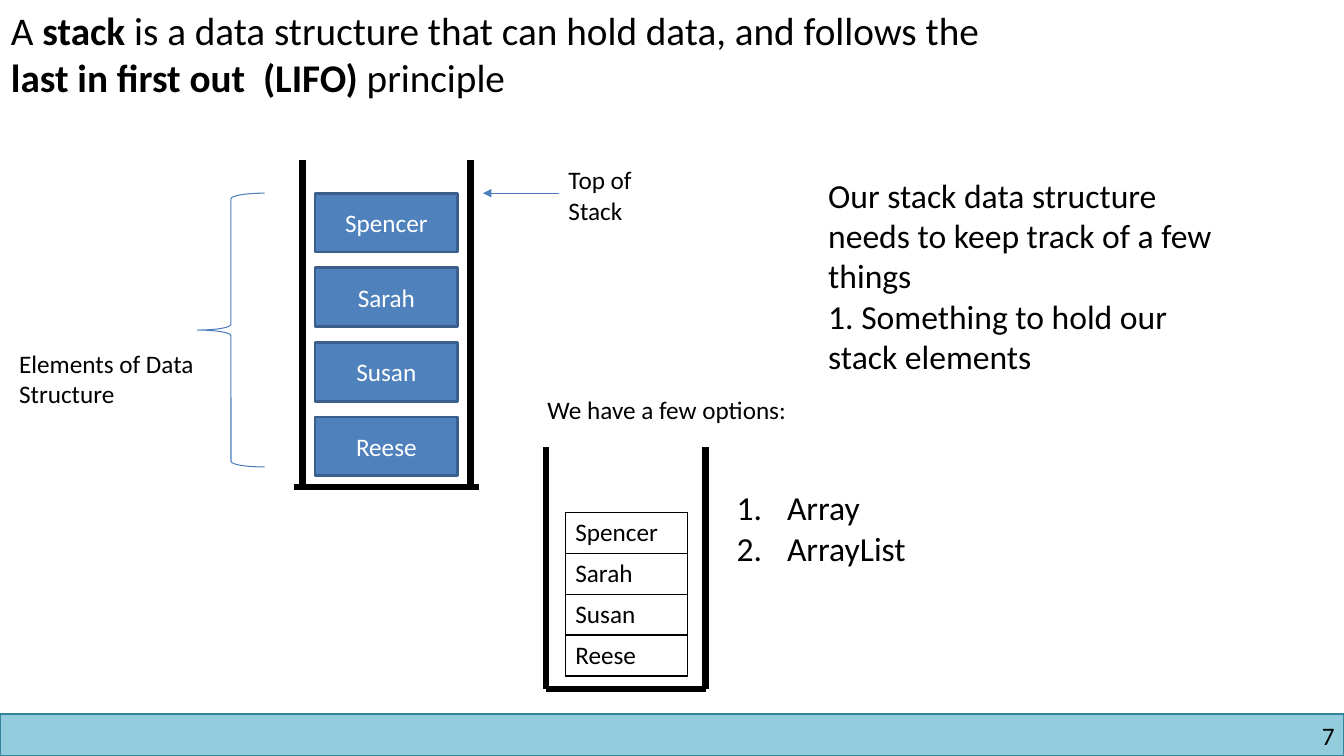
from lxml.etree import SubElement
from pptx import Presentation
from pptx.dml.color import RGBColor
from pptx.enum.shapes import MSO_CONNECTOR as Connector, MSO_SHAPE as Shape
from pptx.enum.text import MSO_ANCHOR as Anchor, MSO_AUTO_SIZE as AutoSize, PP_ALIGN as Align
from pptx.oxml.ns import qn
from pptx.util import Inches, Pt

COLUMNS, ROWS = 160, 90  # grid of twelve units to the inch
BLACK, WHITE, BLUE, BLUE_EDGE, THIN_BLUE = "000000", "FFFFFF", "4F81BD", "3A5F8C", "4B7EBC"
NAMES = ["Spencer", "Sarah", "Susan", "Reese"]


def color(hex_string):
    return RGBColor.from_string(hex_string)


def grid(*units):
    return [Inches(unit / 12) for unit in units]


def set_text(frame, paragraphs, size, font_color=BLACK, align=Align.LEFT,
             anchor=Anchor.TOP, wrap=True, numbered=False, **margins):
    """Each paragraph is a list of (text, bold) runs."""
    frame_format = {"word_wrap": wrap, "auto_size": AutoSize.NONE,
                    "vertical_anchor": anchor, **margins}
    for name, value in frame_format.items():
        setattr(frame, name, value)
    for index, runs in enumerate(paragraphs):
        paragraph = frame.add_paragraph() if index else frame.paragraphs[0]
        properties = paragraph._p.get_or_add_pPr()
        indent = Inches(0.5) if numbered else 0
        properties.set("marL", str(indent))
        properties.set("indent", str(-indent))
        if numbered:
            SubElement(properties, qn("a:buFont"), typeface="+mj-lt")
            SubElement(properties, qn("a:buAutoNum"), type="arabicPeriod")
        else:
            SubElement(properties, qn("a:buNone"))
        paragraph.alignment = align
        paragraph.space_before = Pt(0)
        for text, bold in runs:
            run = paragraph.add_run()
            run.text = text
            font_format = {"name": "Calibri", "size": Pt(size), "bold": bold}
            for name, value in font_format.items():
                setattr(run.font, name, value)
            run.font.color.rgb = color(font_color)


def fill_placeholder(shape, box, paragraphs, size, **text_format):
    shape.left, shape.top, shape.width, shape.height = grid(*box)
    set_text(shape.text_frame, paragraphs, size, **text_format)


def add_label(slide, box, text, **text_format):
    label = slide.shapes.add_textbox(*grid(*box))
    set_text(label.text_frame, [[(text, False)]], 18, **text_format)


def add_shape(slide, preset, box, fill, line_color, line_width):
    shape = slide.shapes.add_shape(preset, *grid(*box))
    shape.shadow.inherit = False
    if fill:
        shape.fill.solid()
        shape.fill.fore_color.rgb = color(fill)
    else:
        shape.fill.background()
    shape.line.color.rgb = color(line_color)
    shape.line.width = Pt(line_width)
    return shape


def add_line(slide, ends, line_color, width, arrow=False):
    line = slide.shapes.add_connector(Connector.STRAIGHT, *grid(*ends))
    line.line.color.rgb = color(line_color)
    line.line.width = Pt(width)
    if arrow:
        SubElement(line.line._get_or_add_ln(), qn("a:tailEnd"), type="triangle")
    SubElement(line._element.spPr, qn("a:effectLst"))


def add_bin(slide, box, overhang=0):
    """Open-topped container whose base may reach past its walls."""
    left, top, width, height = box
    right, bottom = left + width, top + height
    for x in (left, right):
        add_line(slide, (x, top, x, bottom), BLACK, 4.5)
    add_line(slide, (right + overhang, bottom, left - overhang, bottom), BLACK, 4.5)


def add_footer(slide, box):
    left, top, width, height = box
    add_shape(slide, Shape.RECTANGLE, box, "93CDDD", "31859C", 1)
    margins = dict.fromkeys(["margin_left", "margin_top", "margin_right", "margin_bottom"], 0)
    add_label(slide, (left + width - 38, top + 0.8, 36.9, 3.6), "7",
              align=Align.RIGHT, **margins)


def add_stack_diagram(slide, box):
    left, top, width, height = box
    first_block, pitch = top + 4, 8.88
    add_bin(slide, box, overhang=1)
    for index, name in enumerate(NAMES):
        block = add_shape(slide, Shape.RECTANGLE,
                          (left + 1.5, first_block + index * pitch, width - 3, 7),
                          BLUE, BLUE_EDGE, 2)
        set_text(block.text_frame, [[(name, False)]], 18, font_color=WHITE,
                 align=Align.CENTER, anchor=Anchor.MIDDLE)
    add_shape(slide, Shape.LEFT_BRACE, (left - 12.5, first_block, 8, 32.6),
              None, THIN_BLUE, 0.75)
    add_label(slide, (left - 34.9, top + 21.9, 23.5, 8.5), "Elements of Data Structure")
    arrow_end = left + width + 1.5
    add_line(slide, (arrow_end + 9, first_block, arrow_end, first_block),
             THIN_BLUE, 0.75, arrow=True)
    add_label(slide, (arrow_end + 9, top, 12, 8.5), "Top of Stack")


def add_names_table(slide, box):
    graphic = slide.shapes.add_table(len(NAMES), 1, *grid(*box))
    table = graphic.table
    table.first_row = table.horz_banding = False
    for index, name in enumerate(NAMES):
        cell = table.cell(index, 0)
        properties = cell._tc.get_or_add_tcPr()
        for side in ("lnL", "lnR", "lnT", "lnB"):
            border = SubElement(properties, qn(f"a:{side}"), w=str(Pt(1)))
            border_fill = SubElement(border, qn("a:solidFill"))
            SubElement(border_fill, qn("a:srgbClr"), val=BLACK)
        cell.fill.solid()
        cell.fill.fore_color.rgb = color(WHITE)
        set_text(cell.text_frame, [[(name, False)]], 18)


def add_options_diagram(slide, box):
    left, top, width, height = box
    add_label(slide, (left - 1, top - 6.8, 33.8, 4.8), "We have a few options:", wrap=False)
    add_bin(slide, box)
    add_names_table(slide, (left + 2.3, top + 7.8, 14.5, 19.4))


def build_stack_slide(presentation):
    slide = presentation.slides.add_slide(presentation.slide_layouts[3])
    title, needs, options = slide.placeholders
    fill_placeholder(title, (0.1, 0.1, 124, 12.5), [[
        ("A ", False), ("stack", True),
        (" is a data structure that can hold data, and follows the ", False),
        ("last in first out  (LIFO) ", True), ("principle", False)]], 28)
    fill_placeholder(needs, (97.4, 20.2, 50, 25.4), [
        [("Our stack data structure needs to keep track of a few things", False)],
        [("1. Something to hold our stack elements", False)]], 24)
    fill_placeholder(options, (86.5, 57.4, 24.5, 10.9),
                     [[("Array", False)], [("ArrayList", False)]], 24,
                     wrap=False, numbered=True)
    add_footer(slide, (0, 85, COLUMNS, 5))
    add_stack_diagram(slide, (36, 19, 20, 39))
    add_options_diagram(slide, (65, 53.2, 19, 28.8))


def main():
    presentation = Presentation()
    presentation.slide_width, presentation.slide_height = grid(COLUMNS, ROWS)
    build_stack_slide(presentation)
    presentation.save("out.pptx")


if __name__ == "__main__":
    main()
